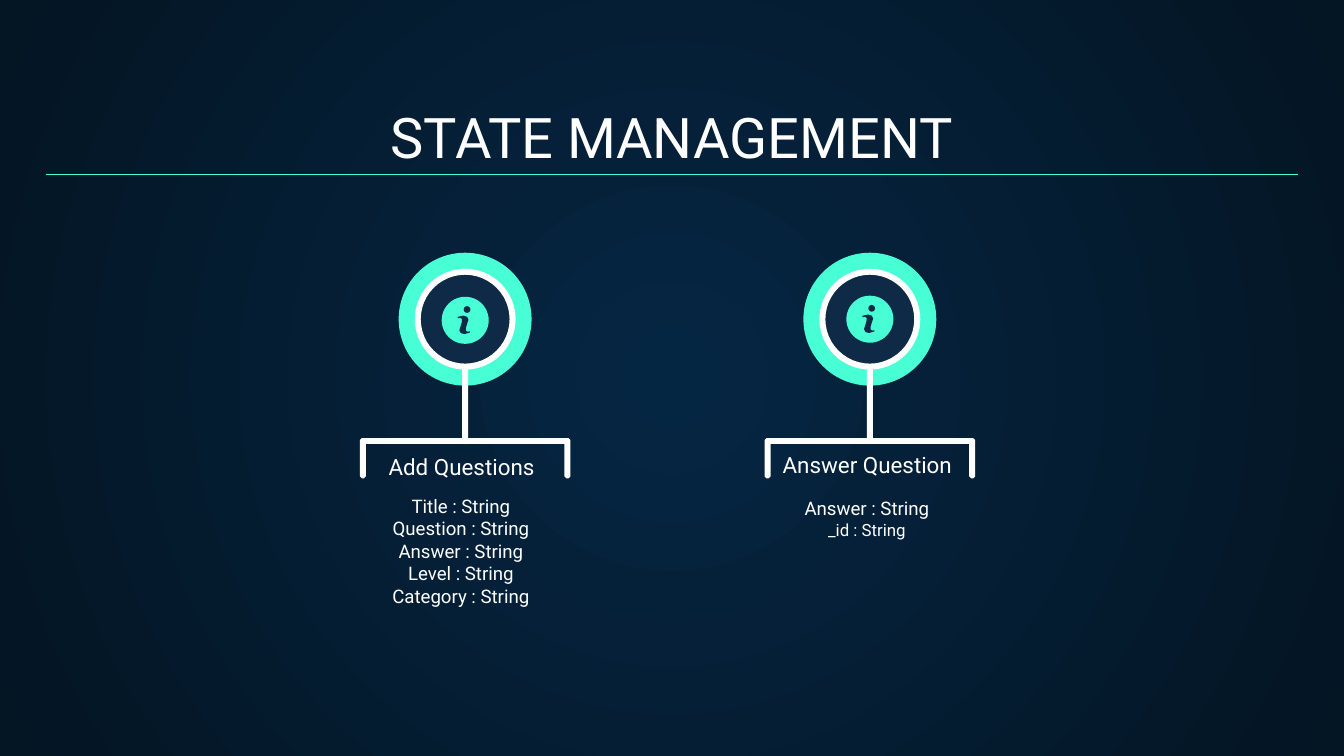
from lxml.etree import SubElement
from pptx import Presentation
from pptx.dml.color import RGBColor
from pptx.enum.shapes import MSO_CONNECTOR, MSO_SHAPE
from pptx.enum.text import MSO_ANCHOR, MSO_AUTO_SIZE, PP_ALIGN
from pptx.oxml.ns import qn
from pptx.util import Pt

COLORS = {"white": "FFFFFF", "mint": "48FFD5", "navy": "0E2A47",
          "center": "052643", "edge": "041523"}
FONT = "Roboto"
TITLE = ("STATE MANAGEMENT", (24.5, 50.4, 671, 47.5))
COLUMNS = [
    {"cx": 249.2, "icon_y": 171.6,
     "head": ("Add Questions", (165.6, 249.1, 163.4, 15.1)),
     "list": ([("Title : String", 10), ("Question : String", 10), ("Answer : String", 10),
               ("Level : String", 10), ("Category : String", 10)],
              (192.2, 257.8, 109.4, 73.4))},
    {"cx": 466, "icon_y": 171,
     "head": ("Answer Question", (383, 248.4, 163.4, 15.1)),
     "list": ([("Answer : String", 10), ("_id : String", 9)],
              (409.7, 259.2, 109.4, 37.4))},
]
DISC_Y, DISC_R, RING_R, CORE_R, ICON_R = 171, 35.6, 27, 25.2, 12.6
BAR, STEM_TOP, BRACKET_TOP, BRACKET_W, BRACKET_H = 3.2, 165.6, 234.7, 112.8, 21.6
LETTER_I = [(-4, -1.1), (-4, -1.8), (-1, -2.5), (1, -1.9), (1.8, -0.4), (0.4, 4),
            (0.4, 5.5), (1.1, 6.1), (2.5, 6), (2.5, 6.6), (-0.4, 7.4), (-2.3, 6.9),
            (-3.1, 5.4), (-1.8, 1.1), (-1.7, -0.6), (-2.4, -1.2)]


def rgb(name):
    return RGBColor.from_string(COLORS[name])


def paint(sp, color):
    sp.shadow.inherit = False
    sp.fill.solid()
    sp.fill.fore_color.rgb = rgb(color)
    sp.line.fill.background()
    return sp


def shape(s, kind, cx, cy, w, h, color):
    return paint(s.shapes.add_shape(kind, Pt(cx - w / 2), Pt(cy - h / 2), Pt(w), Pt(h)), color)


def circle(s, cx, cy, r, color, kind=MSO_SHAPE.OVAL):
    return shape(s, kind, cx, cy, 2 * r, 2 * r, color)


def outline(s, pts, cx, cy, color):
    pts = [(Pt(cx + x), Pt(cy + y)) for x, y in pts]
    fb = s.shapes.build_freeform(*pts[0])
    fb.add_line_segments(pts[1:], close=True)
    return paint(fb.convert_to_shape(), color)


def write(sp, lines, box, anchor=MSO_ANCHOR.TOP):
    sp.left, sp.top, sp.width, sp.height = map(Pt, box)
    tf = sp.text_frame
    tf.word_wrap, tf.auto_size, tf.vertical_anchor = True, MSO_AUTO_SIZE.NONE, anchor
    tf.margin_left = tf.margin_right = tf.margin_top = tf.margin_bottom = Pt(7.2)
    for i, (text, size) in enumerate(lines):
        p = tf.add_paragraph() if i else tf.paragraphs[0]
        p.alignment, p.space_before, p.line_spacing = PP_ALIGN.CENTER, Pt(0), 1.0
        pPr = p._p.get_or_add_pPr()
        pPr.set("marL", "0")
        pPr.set("indent", "0")
        SubElement(pPr, qn("a:buNone"))
        r = p.add_run()
        r.text = text
        r.font.name, r.font.size, r.font.bold = FONT, Pt(size), False
        r.font.color.rgb = rgb("white")


def set_background(s):
    fill = s.background.fill
    fill.gradient()
    for stop, color in zip(fill.gradient_stops, ("center", "edge")):
        stop.color.rgb = rgb(color)
    grad = s.element.xpath(".//p:bgPr/a:gradFill")[0]
    grad.remove(grad.find(qn("a:lin")))
    radial = SubElement(grad, qn("a:path"), path="circle")
    SubElement(radial, qn("a:fillToRect"), l="50000", t="50000", r="50000", b="50000")


def add_badge(s, cx, icon_y):
    half, cut = BRACKET_W / 2, BAR / 3
    left = [(BAR - half, BAR), (BAR - half, BRACKET_H - cut), (BAR - cut - half, BRACKET_H),
            (cut - half, BRACKET_H), (-half, BRACKET_H - cut), (-half, cut), (cut - half, 0)]
    outline(s, left + [(-x, y) for x, y in reversed(left)], cx, BRACKET_TOP, "white")
    circle(s, cx, DISC_Y, DISC_R, "mint")
    stem_h = BRACKET_TOP + BAR - STEM_TOP
    stem = shape(s, MSO_SHAPE.ROUNDED_RECTANGLE, cx, STEM_TOP + stem_h / 2, BAR, stem_h, "white")
    stem.adjustments[0] = 0.5
    circle(s, cx, DISC_Y, CORE_R, "navy")
    ring = circle(s, cx, DISC_Y, RING_R, "white", MSO_SHAPE.DONUT)
    ring.adjustments[0] = BAR / (2 * RING_R)
    circle(s, cx, icon_y, ICON_R, "mint")
    circle(s, cx + 1, icon_y - 5.8, 1.8, "navy")
    outline(s, LETTER_I, cx, icon_y, "navy")


def main():
    """Build the state management slide."""
    prs = Presentation()
    prs.slide_width, prs.slide_height = Pt(720), Pt(405)
    s = prs.slides.add_slide(prs.slide_layouts.get_by_name("Comparison"))
    set_background(s)
    title, *bodies = s.placeholders
    write(title, [(TITLE[0], 30)], TITLE[1], MSO_ANCHOR.BOTTOM)
    rule = s.shapes.add_connector(MSO_CONNECTOR.STRAIGHT, Pt(24.5), Pt(93.6), Pt(695.5), Pt(93.6))
    rule.line.color.rgb, rule.line.width = rgb("mint"), Pt(0.75)
    SubElement(rule._element.spPr, qn("a:effectLst"))
    for col, head, body in zip(COLUMNS, bodies[::2], bodies[1::2]):
        write(head, [(col["head"][0], 12)], col["head"][1], MSO_ANCHOR.BOTTOM)
        write(body, *col["list"])
        add_badge(s, col["cx"], col["icon_y"])
    prs.save("out.pptx")


if __name__ == "__main__":
    main()
